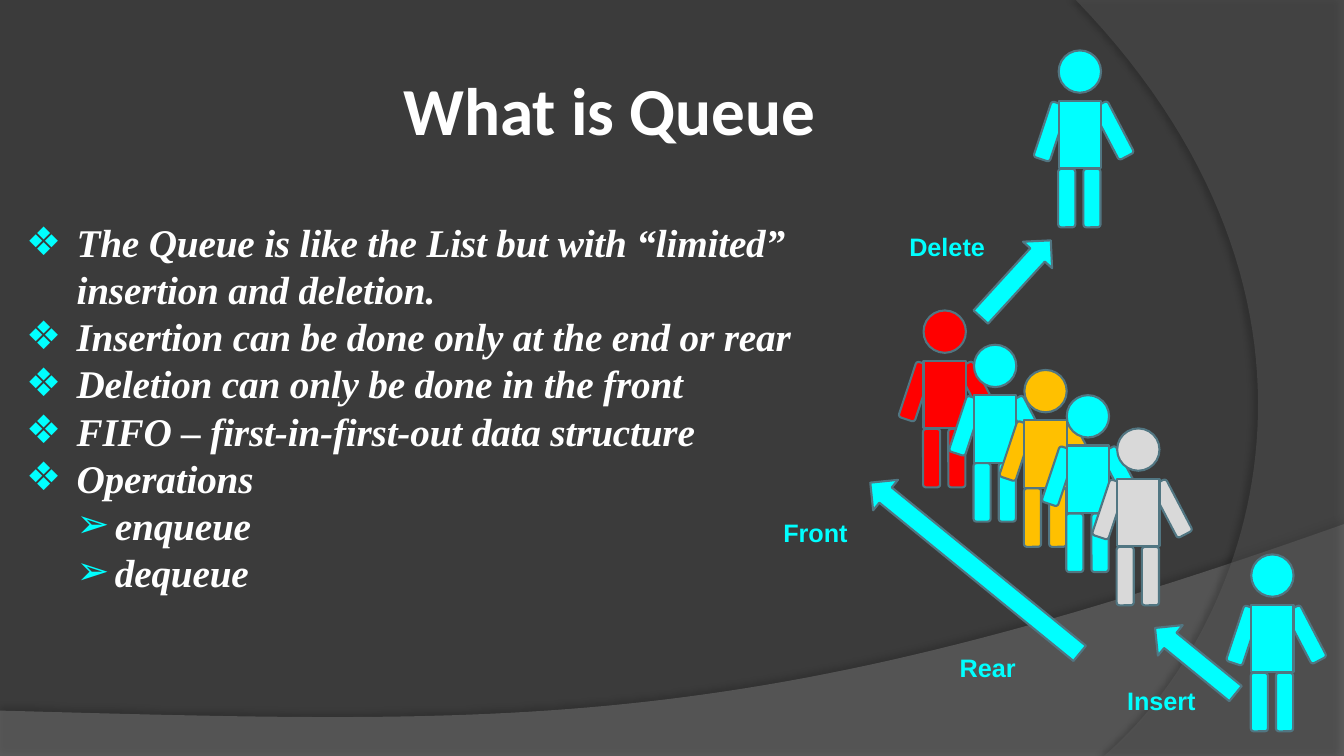
from dataclasses import dataclass

import lxml.etree
import pptx
import pptx.dml.color
import pptx.enum.shapes
import pptx.enum.text
import pptx.oxml
import pptx.oxml.ns
import pptx.util

Inches = pptx.util.Inches
Pt = pptx.util.Pt
RGBColor = pptx.dml.color.RGBColor
Shape = pptx.enum.shapes.MSO_SHAPE
qn = pptx.oxml.ns.qn
Point = tuple[float, float]

CHARCOAL = RGBColor(0x3B, 0x3B, 0x3B)
BAND_GRAY = RGBColor(0x7F, 0x7F, 0x7F)
ARC_GRAY = RGBColor(0x5E, 0x5E, 0x5E)
WHITE = RGBColor(0xFF, 0xFF, 0xFF)
CYAN = RGBColor(0x00, 0xFF, 0xFF)
RED = RGBColor(0xFF, 0x00, 0x00)
AMBER = RGBColor(0xFF, 0xC0, 0x00)
SILVER = RGBColor(0xD9, 0xD9, 0xD9)
OUTLINE = RGBColor(0x51, 0x76, 0x82)


@dataclass
class Swoosh:
    points: list[Point]
    color: RGBColor
    opacity: int
    shadow_opacity: int
    shadow_distance: float
    shadow_angle: int


@dataclass
class Part:
    kind: Shape
    left: float
    top: float
    width: float
    height: float
    rotation: float = 0


@dataclass
class Person:
    left: float
    top: float
    color: RGBColor


@dataclass
class Label:
    text: str
    left: float
    top: float
    width: float
    height: float
    wrap: bool = True


@dataclass
class Bullet:
    text: str
    level: int = 0


def curve(start: Point, first: Point, second: Point, end: Point) -> list[Point]:
    """Points along a cubic curve."""
    steps = 60
    points = []
    for step in range(steps + 1):
        t = step / steps
        weights = ((1 - t) ** 3, 3 * t * (1 - t) ** 2, 3 * t * t * (1 - t), t ** 3)
        points.append(tuple(sum(weight * point[axis] for weight, point
                                in zip(weights, (start, first, second, end)))
                            for axis in (0, 1)))
    return points


SWOOSHES = [
    Swoosh([(0, 7.5), (13.33, 7.5),
            *curve((13.33, 5.2), (7.45, 7.29), (5.21, 7.19), (0, 7.05))],
           BAND_GRAY, 45, 35, 3.5, 270),
    Swoosh([(13.33, 0), (13.33, 7.5),
            *curve((10.95, 7.5), (12.46, 6.19), (13.57, 3), (10.67, 0))],
           ARC_GRAY, 40, 45, 4, 180),
]
BULLETS = [
    Bullet("The Queue is like the List but with “limited”\vinsertion and deletion."),
    Bullet("Insertion can be done only at the end or rear"),
    Bullet("Deletion can only be done in the front"),
    Bullet("FIFO – first-in-first-out data structure"),
    Bullet("Operations"),
    Bullet("enqueue", 1),
    Bullet("dequeue", 1),
]
# Marker, left margin and hanging indent of each list level
LEVELS = [("❖", 0.51, -0.5), ("➢", 0.89, -0.38)]
BODY_PARTS = [
    Part(Shape.OVAL, 0, 0, 0.42, 0.42),
    Part(Shape.ROUNDED_RECTANGLE, 0.04, 1.38, 0.58, 0.17, 90),
    Part(Shape.ROUNDED_RECTANGLE, -0.21, 1.38, 0.58, 0.17, 90),
    Part(Shape.ROUNDED_RECTANGLE, 0.25, 0.71, 0.58, 0.17, 62.4),
    Part(Shape.ROUNDED_RECTANGLE, -0.37, 0.72, 0.58, 0.17, 108.4),
    Part(Shape.RECTANGLE, 0, 0.5, 0.42, 0.67),
]
PEOPLE = [
    Person(9.16, 3.08, RED), Person(9.66, 3.42, CYAN), Person(10.16, 3.67, AMBER),
    Person(10.58, 3.92, CYAN), Person(11.08, 4.25, SILVER),
    Person(12.41, 5.5, CYAN), Person(10.5, 0.5, CYAN),
]
ARROWS = [
    Part(Shape.RIGHT_ARROW, 8.33, 5.44, 2.68, 0.39, 219.2),
    Part(Shape.RIGHT_ARROW, 11.34, 6.36, 1.03, 0.39, 219.2),
    Part(Shape.RIGHT_ARROW, 9.56, 2.57, 1.03, 0.39, 312.4),
]
LABELS = [
    Label("Delete", 8.92, 2.25, 1.58, 0.42),
    Label("Front", 7.67, 5.08, 0.85, 0.4, wrap=False),
    Label("Rear", 9.42, 6.42, 1.08, 0.4),
    Label("Insert", 11.08, 6.75, 1.17, 0.42),
]


def draw_swoosh(page: pptx.slide.Slide, swoosh: Swoosh) -> None:
    points = [(Inches(x), Inches(y)) for x, y in swoosh.points]
    builder = page.shapes.build_freeform(*points[0])
    builder.add_line_segments(points[1:], close=True)
    shape = builder.convert_to_shape()
    shape.line.fill.background()
    shape.fill.solid()
    shape.fill.fore_color.rgb = swoosh.color
    shape.shadow.inherit = False
    color = shape.element.spPr.find(qn("a:solidFill"))[0]
    lxml.etree.SubElement(color, qn("a:alpha"), val=str(swoosh.opacity * 1000))
    effects = shape.element.spPr.find(qn("a:effectLst"))
    shadow = lxml.etree.SubElement(
        effects, qn("a:outerShdw"), blurRad=str(Pt(4)), dist=str(Pt(swoosh.shadow_distance)),
        dir=str(swoosh.shadow_angle * 60000), algn="ctr", rotWithShape="0")
    black = lxml.etree.SubElement(shadow, qn("a:srgbClr"), val="000000")
    lxml.etree.SubElement(black, qn("a:alpha"), val=str(swoosh.shadow_opacity * 1000))


def draw_part(shapes, part: Part, color: RGBColor, left: float = 0, top: float = 0) -> None:
    shape = shapes.add_shape(part.kind, Inches(left + part.left), Inches(top + part.top),
                             Inches(part.width), Inches(part.height))
    shape.rotation = part.rotation
    shape.shadow.inherit = False
    shape.fill.solid()
    shape.fill.fore_color.rgb = color
    shape.line.color.rgb = OUTLINE
    shape.line.width = Pt(1.5)


def place(shape, left: float, top: float, width: float, height: float) -> None:
    shape.left, shape.top = Inches(left), Inches(top)
    shape.width, shape.height = Inches(width), Inches(height)
    frame = shape.text_frame
    frame.margin_left = frame.margin_right = frame.margin_top = frame.margin_bottom = 0
    frame.word_wrap = True
    frame.auto_size = pptx.enum.text.MSO_AUTO_SIZE.NONE


def style(paragraph, name: str, size: int, color: RGBColor) -> None:
    paragraph.font.name = name
    paragraph.font.size = Pt(size)
    paragraph.font.bold = True
    paragraph.font.color.rgb = color


def write_bullet(paragraph, bullet: Bullet) -> None:
    marker, margin, indent = LEVELS[bullet.level]
    paragraph.text = bullet.text
    paragraph.level = bullet.level
    paragraph.space_before = Pt(0)
    paragraph.line_spacing = Pt(33.6)
    properties = paragraph._p.get_or_add_pPr()
    properties.set("marL", str(Inches(margin)))
    properties.set("indent", str(Inches(indent)))
    color = lxml.etree.SubElement(properties, qn("a:buClr"))
    lxml.etree.SubElement(color, qn("a:srgbClr"), val=str(CYAN))
    lxml.etree.SubElement(properties, qn("a:buChar"), char=marker)
    style(paragraph, "Times New Roman", 28, WHITE)
    paragraph.font.italic = True
    for span in paragraph.runs:
        span._r.get_or_add_rPr().set("spc", "-10")


def main() -> None:
    deck = pptx.Presentation()
    deck.slide_width, deck.slide_height = Inches(13.33), Inches(7.5)
    page = deck.slides.add_slide(deck.slide_layouts[1])

    # Backdrop
    page.background.fill.solid()
    page.background.fill.fore_color.rgb = CHARCOAL
    for swoosh in SWOOSHES:
        draw_swoosh(page, swoosh)

    # Title and list
    title, body = page.placeholders
    place(title, 4, 0.67, 4.65, 0.82)
    title.text_frame.vertical_anchor = pptx.enum.text.MSO_ANCHOR.MIDDLE
    heading = title.text_frame.paragraphs[0]
    heading.text = "What is Queue"
    heading.alignment = pptx.enum.text.PP_ALIGN.LEFT
    style(heading, "Calibri", 48, WHITE)
    place(body, 0.25, 2.17, 8.75, 3.78)
    for index, bullet in enumerate(BULLETS):
        frame = body.text_frame
        write_bullet(frame.add_paragraph() if index else frame.paragraphs[0], bullet)

    # People in the queue, then one joining and one leaving
    for person in PEOPLE:
        group = page.shapes.add_group_shape()
        for part in BODY_PARTS:
            draw_part(group.shapes, part, person.color, person.left, person.top)

    # Arrows and their labels
    for arrow in ARROWS:
        draw_part(page.shapes, arrow, CYAN)
    for label in LABELS:
        box = page.shapes.add_textbox(Inches(label.left), Inches(label.top),
                                      Inches(label.width), Inches(label.height))
        box.text_frame.word_wrap = label.wrap
        box.text_frame.text = label.text
        style(box.text_frame.paragraphs[0], "Arial", 18, CYAN)

    deck.save("out.pptx")


if __name__ == "__main__":
    main()
